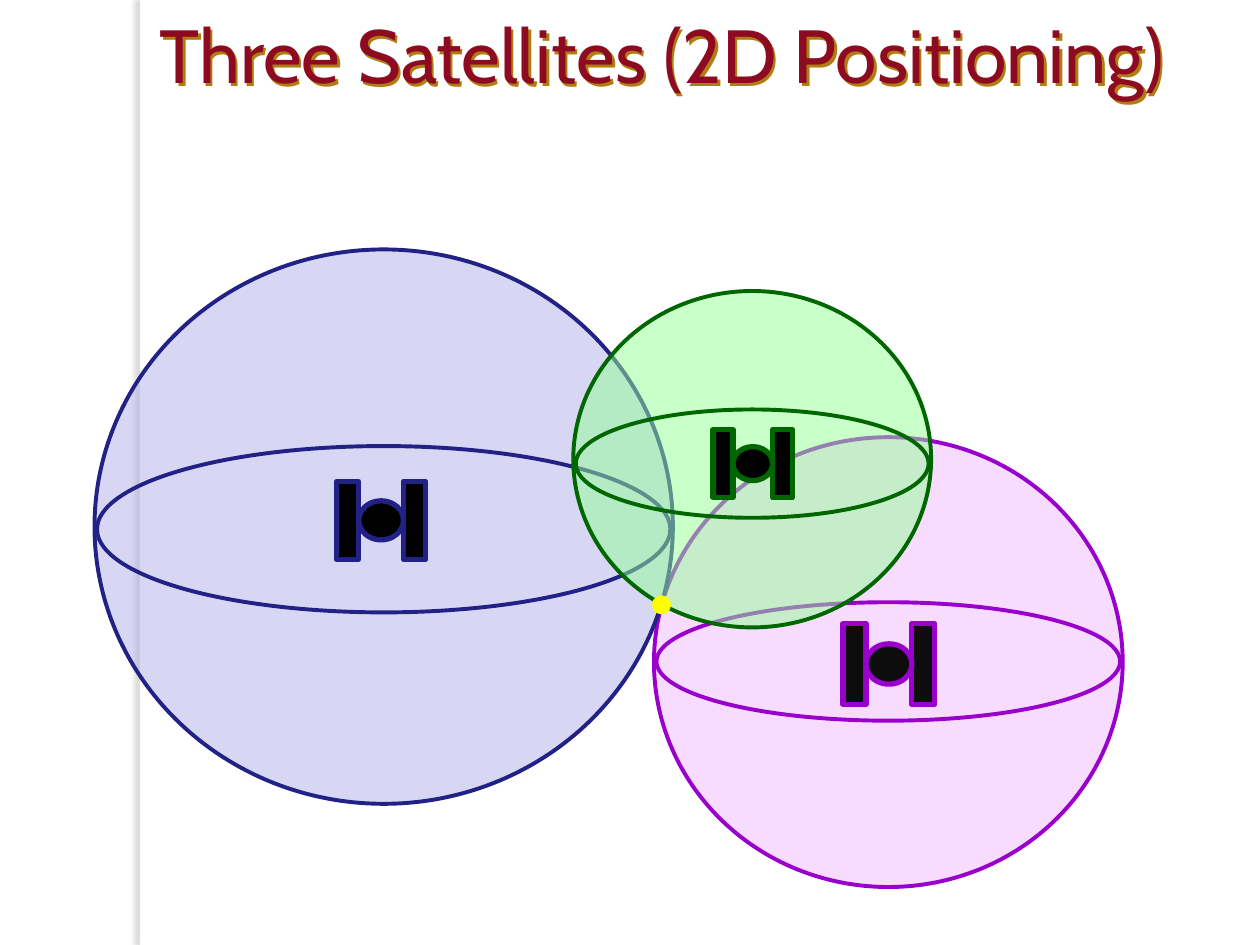
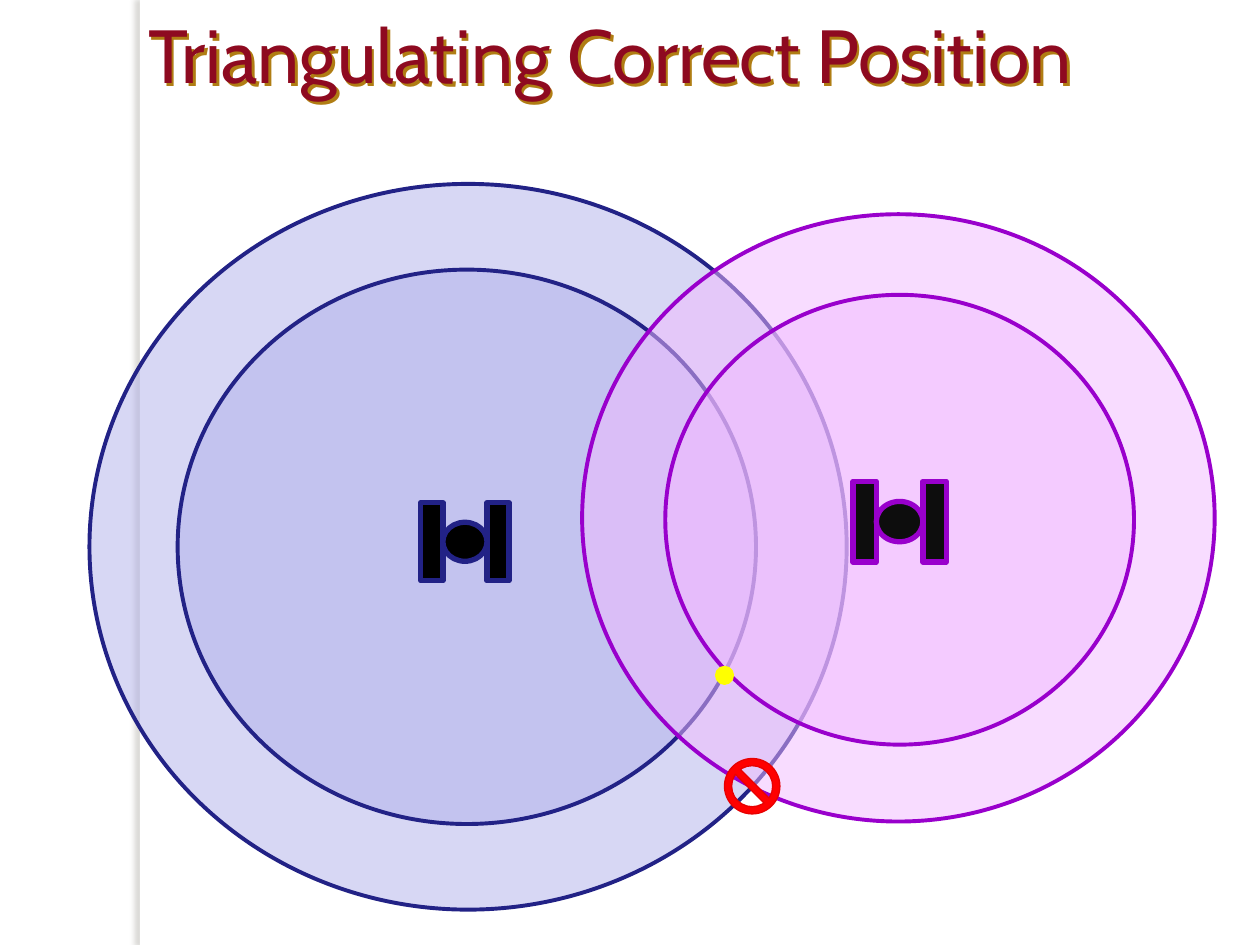
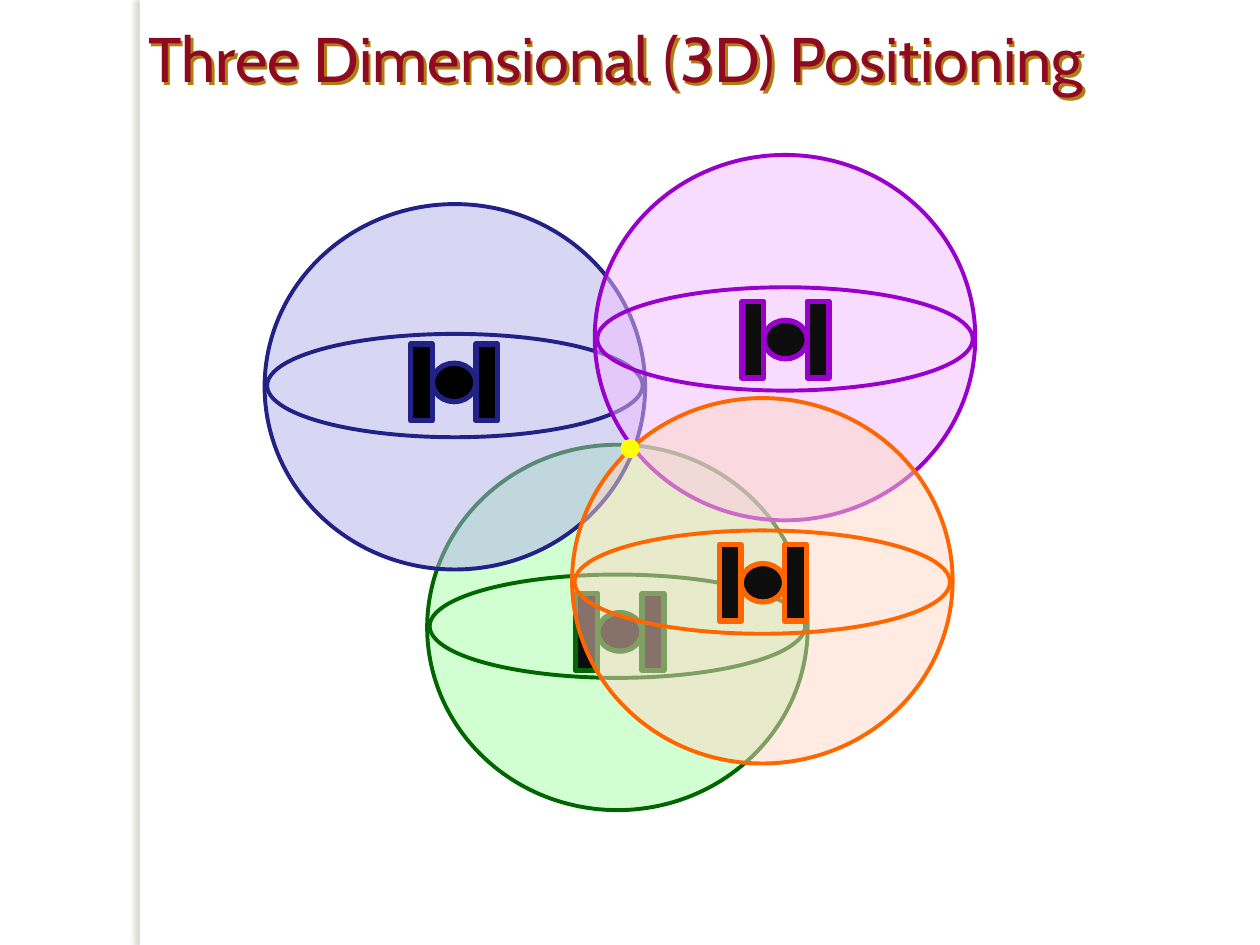
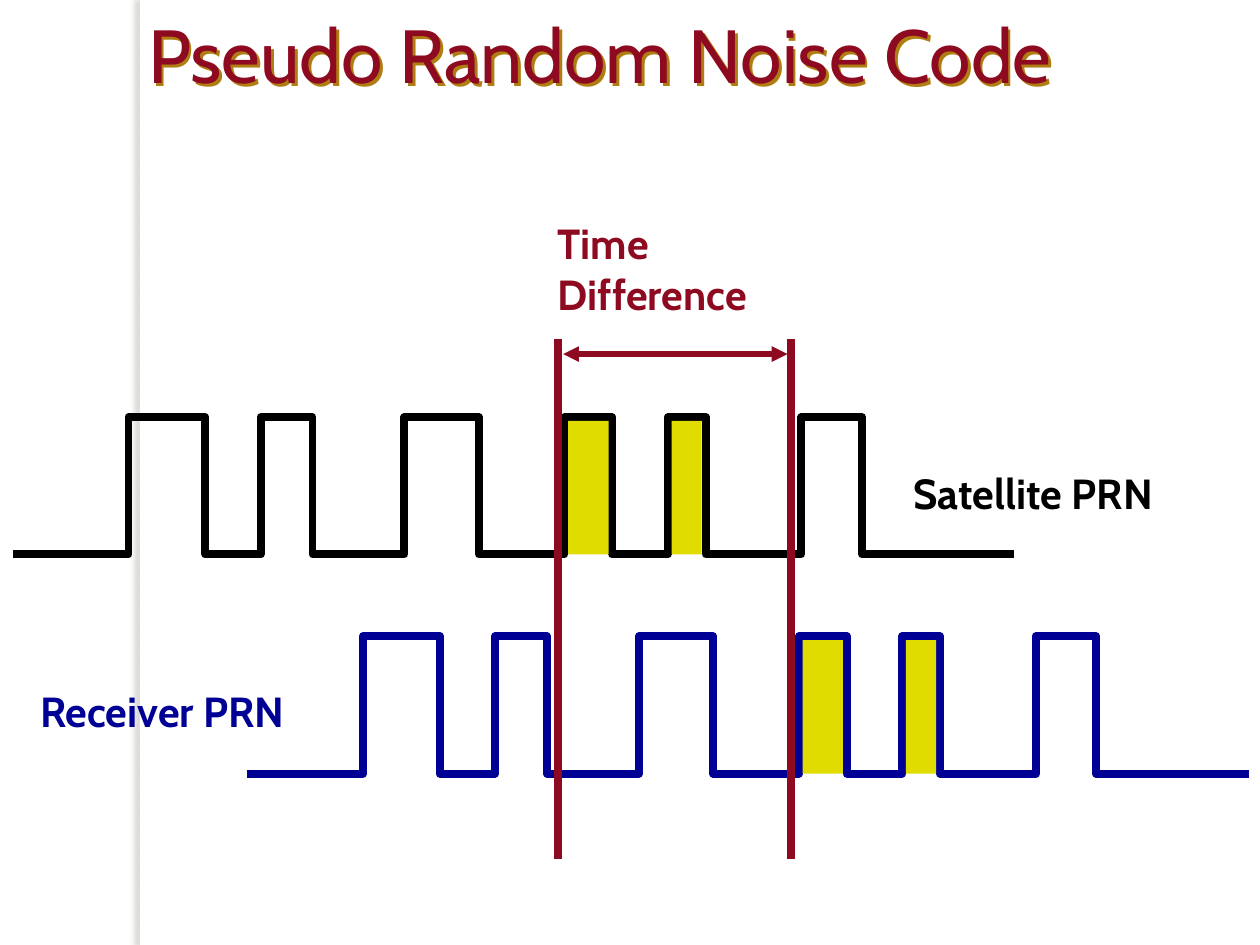
from dataclasses import dataclass

from lxml.etree import SubElement
from pptx import Presentation
from pptx.dml.color import RGBColor
from pptx.enum.shapes import MSO_CONNECTOR, MSO_SHAPE
from pptx.enum.text import MSO_ANCHOR
from pptx.oxml.ns import qn
from pptx.util import Inches, Pt


@dataclass(frozen=True)
class Theme:
    font: str = "Cabin"
    title_size: float = 43
    long_title_size: float = 36
    label_size: float = 24
    outline: float = 2.25
    satellite_outline: float = 3
    signal_line: float = 4.5
    white: str = "FFFFFF"
    crimson: str = "8E0A20"
    title_shadow: str = "B07D13"
    band_shadow: str = "736F63"
    fix: str = "FFFF00"
    wrong: str = "FF0000"
    wrong_edge: str = "E70101"
    match: str = "E1DC00"
    black: str = "000000"
    navy: str = "000094"


@dataclass(frozen=True)
class Hue:
    tint: str
    edge: str
    satellite: str


THEME = Theme()
BLUE = Hue("B1B1EB", "222286", "000000")
VIOLET = Hue("F2BBFF", "9900CC", "0D0D0D")
GREEN = Hue("95FF95", "006600", "000000")
MINT = Hue("A7FFA7", "006600", "0D0D0D")
ORANGE = Hue("FFD8C5", "FF6600", "0D0D0D")

# Each range: hue, shells, satellite box, equator (top, height) or None.
RANGING_SLIDES = [
    {
        "title": ("Three Satellites (2D Positioning)", THEME.title_size, 1.17, 0.85),
        "ranges": [
            (VIOLET, [(5.19, 3.47, 3.72, 3.57)], (6.69, 4.95, 0.73, 0.64), (4.78, 0.94)),
            (BLUE, [(0.75, 1.98, 4.59, 4.4)], (2.67, 3.82, 0.71, 0.62), (3.54, 1.32)),
            (GREEN, [(4.55, 2.31, 2.84, 2.67)], (5.66, 3.41, 0.63, 0.54), (3.25, 0.86)),
        ],
        "fix": (5.19, 4.74),
    },
    {
        "title": ("Triangulating Correct Position", THEME.title_size, 1.08, 0.85),
        "ranges": [
            (BLUE, [(0.71, 1.46, 6.01, 5.76), (1.41, 2.14, 4.59, 4.4)],
             (3.34, 3.99, 0.7, 0.62), None),
            (VIOLET, [(4.62, 1.7, 5.02, 4.82), (5.28, 2.34, 3.72, 3.57)],
             (6.77, 3.82, 0.74, 0.64), None),
        ],
        "wrong": (5.75, 6.02),
        "fix": (5.69, 5.3),
    },
    {
        "title": ("Three Dimensional (3D) Positioning", THEME.long_title_size, 1.08, 0.91),
        "ranges": [
            (MINT, [(3.39, 3.53, 3.02, 2.9)], (4.57, 4.71, 0.7, 0.61), (4.56, 0.82)),
            (BLUE, [(2.1, 1.62, 3.02, 2.9)], (3.26, 2.73, 0.69, 0.61), (2.65, 0.82)),
            (VIOLET, [(4.72, 1.23, 3.02, 2.9)], (5.89, 2.39, 0.69, 0.61), (2.28, 0.82)),
            (ORANGE, [(4.54, 3.16, 3.02, 2.9)], (5.71, 4.32, 0.69, 0.61), (4.21, 0.82)),
        ],
        "fix": (4.94, 3.5),
    },
]

CODE_TITLE = ("Pseudo Random Noise Code", THEME.title_size, 1.08, 0.85)
CODE_PULSES = [(0.92, 1.53), (1.97, 2.38), (3.11, 3.7), (4.38, 4.76), (5.2, 5.5), (6.26, 6.74)]
CODE_LENGTH = 7.95
PULSE_HEIGHT = 1.09
MATCHED_PULSES = CODE_PULSES[3:5]
SIGNALS = [(1.96, 5.05, THEME.navy), (0.1, 3.31, THEME.black)]
TIME_MARKS = [6.28, 4.43]
CODE_LABELS = [
    ("Receiver PRN", THEME.navy, (0.22, 5.39, 3.16, 0.5)),
    ("Satellite PRN", THEME.black, (7.15, 3.66, 2.76, 0.5)),
    ("Time Difference", THEME.crimson, (4.33, 1.68, 2.27, 0.9)),
]


def rgb(code):
    return RGBColor.from_string(code)


def add_shadow(shape, color, alpha, blur, distance, degrees):
    effects = shape.element.spPr.find(qn("a:effectLst"))
    if effects is None:
        effects = SubElement(shape.element.spPr, qn("a:effectLst"))
    shadow = SubElement(effects, qn("a:outerShdw"), blurRad=str(Pt(blur)),
                        dist=str(Pt(distance)), dir=str(degrees * 60000),
                        algn="tl", rotWithShape="0")
    tone = SubElement(shadow, qn("a:srgbClr"), val=color)
    SubElement(tone, qn("a:alpha"), val=str(alpha * 1000))


def paint(shape, fill=None, edge=None, width=0, alpha=100):
    shape.shadow.inherit = False
    if fill:
        shape.fill.solid()
        shape.fill.fore_color.rgb = rgb(fill)
        if alpha < 100:
            tone = shape.element.spPr.find(qn("a:solidFill"))[0]
            SubElement(tone, qn("a:alpha"), val=str(alpha * 1000))
    else:
        shape.fill.background()
    if edge:
        shape.line.color.rgb = rgb(edge)
        shape.line.width = Pt(width)
    else:
        shape.line.fill.background()
    return shape


def add_figure(shapes, preset, box, **style):
    return paint(shapes.add_shape(preset, *map(Inches, box)), **style)


def add_text(slide, words, box, size, color, bold=False, anchor=MSO_ANCHOR.TOP):
    label = slide.shapes.add_textbox(*map(Inches, box))
    frame = label.text_frame
    frame.word_wrap = True
    frame.vertical_anchor = anchor
    paragraph = frame.paragraphs[0]
    paragraph.text = words
    font = paragraph.font
    font.name, font.size, font.bold = THEME.font, Pt(size), bold
    font.color.rgb = rgb(color)
    return label


def add_title(slide, words, size, left, height):
    title = add_text(slide, words, (left, 0, 10 - left, height), size,
                     THEME.crimson, anchor=MSO_ANCHOR.MIDDLE)
    add_shadow(title, THEME.title_shadow, 100, 0, 2, 45)


def add_line(slide, start, end, width, arrows=False):
    line = slide.shapes.add_connector(MSO_CONNECTOR.STRAIGHT, *map(Inches, start + end))
    line.line.color.rgb = rgb(THEME.crimson)
    line.line.width = Pt(width)
    if arrows:
        for tip in ("a:headEnd", "a:tailEnd"):
            SubElement(line.line._get_or_add_ln(), qn(tip), type="triangle")
    SubElement(line.element.spPr, qn("a:effectLst"))


def add_band(presentation, slide):
    band = add_figure(slide.shapes, MSO_SHAPE.RECTANGLE, (1.11, 0, 0.08, 7.5), fill=THEME.white)
    add_shadow(band, THEME.band_shadow, 25, 3, 3, 180)
    presentation.slide_master.shapes.element.append(band.element)


def add_satellite(shapes, hue, box):
    left, top, width, height = box
    panel = width / 4
    parts = [
        (MSO_SHAPE.RECTANGLE, (left, top, panel, height)),
        (MSO_SHAPE.RECTANGLE, (left + 3 * panel, top, panel, height)),
        (MSO_SHAPE.OVAL, (left + panel, top + height / 4, 2 * panel, height / 2)),
    ]
    for preset, place in parts:
        add_figure(shapes, preset, place, fill=hue.satellite, edge=hue.edge,
                   width=THEME.satellite_outline)


def add_range(slide, hue, shells, satellite, equator):
    shapes = slide.shapes.add_group_shape().shapes
    for shell in shells:
        add_figure(shapes, MSO_SHAPE.OVAL, shell, fill=hue.tint, alpha=50,
                   edge=hue.edge, width=THEME.outline)
    add_satellite(shapes, hue, satellite)
    if equator:
        left, _, width, _ = shells[0]
        top, height = equator
        add_figure(shapes, MSO_SHAPE.OVAL, (left + 0.02, top, width - 0.04, height),
                   edge=hue.edge, width=THEME.outline)


def add_ranging_slide(slide, content):
    add_title(slide, *content["title"])
    for satellite_range in content["ranges"]:
        add_range(slide, *satellite_range)
    if "wrong" in content:
        wrong = add_figure(slide.shapes, MSO_SHAPE.NO_SYMBOL, (*content["wrong"], 0.44, 0.44),
                           fill=THEME.wrong, edge=THEME.wrong_edge, width=0.75)
        wrong.adjustments[0] = 0.13
    add_figure(slide.shapes, MSO_SHAPE.OVAL, (*content["fix"], 0.12, 0.12),
               fill=THEME.fix, edge=THEME.fix, width=THEME.outline)


def add_signal(slide, left, top, color):
    base = top + PULSE_HEIGHT
    corners = [(left, base)]
    for rise, fall in CODE_PULSES:
        corners += [(left + rise, base), (left + rise, top),
                    (left + fall, top), (left + fall, base)]
    corners.append((left + CODE_LENGTH, base))
    points = [(Inches(x), Inches(y)) for x, y in corners]
    wave = slide.shapes.build_freeform(*points[0])
    wave.add_line_segments(points[1:], close=False)
    paint(wave.convert_to_shape(), edge=color, width=THEME.signal_line)


def add_code_slide(slide):
    add_title(slide, *CODE_TITLE)
    for signal in SIGNALS:
        add_signal(slide, *signal)
    for mark in TIME_MARKS:
        add_line(slide, (mark, 6.82), (mark, 2.69), THEME.signal_line)
    for rise, fall in MATCHED_PULSES:
        for left, top, _ in SIGNALS:
            add_figure(slide.shapes, MSO_SHAPE.RECTANGLE,
                       (left + rise + 0.03, top + 0.03, fall - rise - 0.06, PULSE_HEIGHT - 0.03),
                       fill=THEME.match)
    for words, color, box in CODE_LABELS:
        add_text(slide, words, box, THEME.label_size, color, bold=True)
    add_line(slide, (4.47, 2.81), (6.25, 2.81), 3, arrows=True)


def main():
    presentation = Presentation()
    presentation.slide_width, presentation.slide_height = Inches(10), Inches(7.5)
    blank = presentation.slide_layouts[6]
    for content in RANGING_SLIDES:
        add_ranging_slide(presentation.slides.add_slide(blank), content)
    code_slide = presentation.slides.add_slide(blank)
    add_band(presentation, code_slide)
    add_code_slide(code_slide)
    presentation.save("out.pptx")


if __name__ == "__main__":
    main()
